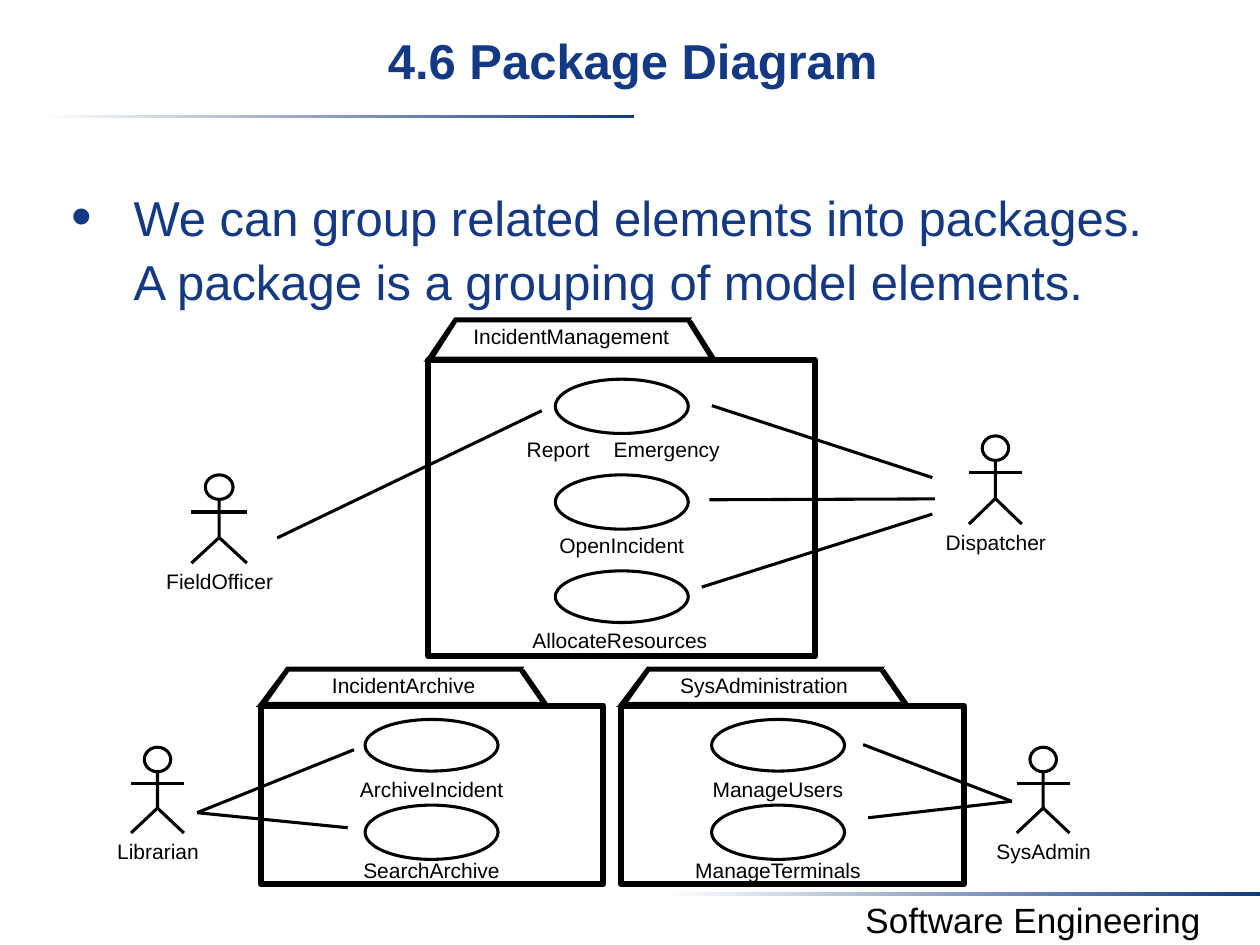
import pptx
import pptx.util
import pptx.dml.color
import pptx.enum.shapes
import pptx.enum.text
import pptx.oxml.ns
from lxml import etree

Pt = pptx.util.Pt
SHAPE = pptx.enum.shapes.MSO_SHAPE
ALIGN = pptx.enum.text.PP_ALIGN
COLORS = {"navy": "133984", "black": "000000", "white": "FFFFFF"}
THIN, THICK = 1.75, 3.5
TAB_WIDTH, TAB_SLOPE, TAB_BAR = 164, 14.8, 2.9

# Package: body box, tab height, centre of the use case column, and
# use cases as (top, height, label top, [(label, offset from the column)])
PACKAGES = [
    ("IncidentManagement", (244.8, 205.9, 221, 169.2), 24.5, 355.3, [
        (216.7, 31, 251.3, [("Report", -36.3), ("Emergency", 25.7)]),
        (271.4, 31, 306, [("OpenIncident", 0)]),
        (326.2, 29.5, 360, [("AllocateResources", -1)])]),
    ("IncidentArchive", (149, 403.2, 195.8, 102.2), 22.3, 246.6, [
        (411.1, 29.5, 445.3, [("ArchiveIncident", 0)]),
        (460.1, 31, 491.8, [("SearchArchive", 0)])]),
    ("SysAdministration", (355, 403.2, 195.8, 102.2), 22.3, 444.6, [
        (411.1, 29.5, 445.3, [("ManageUsers", 0)]),
        (460.1, 31, 491.8, [("ManageTerminals", 0)])]),
]

# Actor: figure box, and associations as (start, end)
ACTORS = [
    ("FieldOfficer", (109.4, 271.4, 31.7, 50.4), [((158.4, 307.4), (309.6, 234.7))]),
    ("Dispatcher", (553.7, 249.1, 30.2, 50.4), [
        ((532.8, 272.9), (406.8, 231.8)),
        ((534.2, 285.1), (405.4, 285.6)),
        ((532.8, 293.8), (401, 335.5))]),
    ("Librarian", (74.9, 427, 30.2, 49), [
        ((112.6, 464.4), (202.3, 428.4)),
        ((112.6, 464.4), (198.7, 473))]),
    ("SysAdmin", (581, 427, 30.2, 49), [
        ((578.2, 457.9), (493.2, 425.5)),
        ((578.2, 457.9), (496.1, 467.3))]),
]


def rgb(name):
    return pptx.dml.color.RGBColor.from_string(COLORS[name])


def apply(target, values):
    for key, value in values.items():
        setattr(target, key, value)


def write(frame, text, size, color, bold=False, align=ALIGN.CENTER, spacing=1.0):
    paragraph = frame.paragraphs[0]
    paragraph.text = text
    apply(paragraph, {"alignment": align, "line_spacing": spacing, "space_before": Pt(0)})
    font = paragraph.runs[0].font
    apply(font, {"name": "Arial", "size": Pt(size), "bold": bold})
    font.color.rgb = rgb(color)


def paint(shape, fill=None, width=None):
    shape.shadow.inherit = False
    if fill:
        shape.fill.solid()
        shape.fill.fore_color.rgb = rgb(fill)
    else:
        shape.fill.background()
    if width:
        shape.line.color.rgb = rgb("black")
        shape.line.width = Pt(width)
    else:
        shape.line.fill.background()


def add_outlined(slide, kind, box, width, fill=None):
    paint(slide.shapes.add_shape(kind, *map(Pt, box)), fill, width)


def add_path(slide, points, close, fill=None, width=None):
    builder = slide.shapes.build_freeform(*map(Pt, points[0]), scale=1.0)
    builder.add_line_segments([tuple(map(Pt, p)) for p in points[1:]], close=close)
    paint(builder.convert_to_shape(), fill, width)


def add_line(slide, start, end):
    line = slide.shapes.add_connector(
        pptx.enum.shapes.MSO_CONNECTOR.STRAIGHT, *map(Pt, start + end))
    line.line.color.rgb = rgb("black")
    line.line.width = Pt(THIN)
    etree.SubElement(line._element.spPr, pptx.oxml.ns.qn("a:effectLst"))


def add_label(slide, text, center, top):
    width = 7.5 * len(text)
    frame = slide.shapes.add_textbox(
        Pt(center - width / 2), Pt(top), Pt(width), Pt(13)).text_frame
    apply(frame, {"margin_left": 0, "margin_right": 0, "margin_top": 0,
                  "margin_bottom": 0, "word_wrap": False})
    write(frame, text, 12, "black", spacing=0.9)


def add_rule(slide, box):
    rule = slide.shapes.add_shape(SHAPE.RECTANGLE, *map(Pt, box))
    paint(rule)
    rule.fill.gradient()
    rule.fill.gradient_angle = 0
    for stop, color in zip(rule.fill.gradient_stops, ("white", "navy")):
        stop.color.rgb = rgb(color)


def add_title(slide, box):
    title = slide.shapes.title
    apply(title, dict(zip(("left", "top", "width", "height"), map(Pt, box))))
    apply(title.text_frame, {
        "margin_top": Pt(4), "margin_bottom": Pt(3.6), "word_wrap": True,
        "auto_size": pptx.enum.text.MSO_AUTO_SIZE.NONE,
        "vertical_anchor": pptx.enum.text.MSO_ANCHOR.TOP})
    write(title.text_frame, "4.6 Package Diagram", 28, "navy", bold=True)


def add_statement(slide, box):
    frame = slide.shapes.add_textbox(*map(Pt, box)).text_frame
    frame.word_wrap = True
    properties = frame.paragraphs[0]._p.get_or_add_pPr()
    properties.set("marL", str(Pt(35.3)))
    properties.set("indent", str(-Pt(35.3)))
    for tag, name, value in (("a:buSzPct", "val", "120000"),
                             ("a:buFont", "typeface", "Arial"),
                             ("a:buChar", "char", "•")):
        etree.SubElement(properties, pptx.oxml.ns.qn(tag)).set(name, value)
    write(frame, "We can group related elements into packages. "
          "A package is a grouping of model elements.",
          28, "navy", align=ALIGN.LEFT, spacing=1.1)


def add_footer(slide, box):
    frame = slide.shapes.add_textbox(*map(Pt, box)).text_frame
    frame.word_wrap = True
    write(frame, "Software Engineering", 20, "black")


def add_tab(slide, name, box):
    left, top, width, height = box
    right, bottom = left + width, top + height
    inner_left, inner_right = left + TAB_SLOPE, right - TAB_SLOPE
    under, edge = top + TAB_BAR, bottom + 0.8
    bars = [
        [(left - 1.4, bottom - 0.7), (left + 2, edge),
         (inner_left + 1.4, under), (inner_left, top)],
        [(inner_left, top), (inner_left, under),
         (inner_right, under), (inner_right + 1.4, top)],
        [(inner_right + 1.4, top + 1.4), (inner_right - 1.4, under),
         (right - 2.2, edge), (right + 1.6, edge)],
        [(left - 2.9, edge), (left + 0.7, edge - TAB_BAR),
         (right - 1.3, edge - TAB_BAR), (right - 1.3, edge)],
    ]
    for bar in bars:
        add_path(slide, bar, close=True, fill="black")
    add_label(slide, name, left + width / 2 - 0.3, top + 5.2)


def add_package(slide, name, box, tab_height, column, use_cases):
    left, top = box[:2]
    add_outlined(slide, SHAPE.RECTANGLE, box, THICK)
    add_tab(slide, name, (left, top - tab_height, TAB_WIDTH, tab_height))
    for case_top, height, label_top, labels in use_cases:
        add_outlined(slide, SHAPE.OVAL, (column - 38, case_top, 76, height), THIN)
        for text, offset in labels:
            add_label(slide, text, column + offset, label_top)


def add_actor(slide, name, box, associations):
    left, top, width, height = box
    center, right, feet = left + width / 2, left + width, top + height
    hips, arms = top + 0.71 * height, top + 0.42 * height
    add_path(slide, [(center, top + 10), (center, hips), (left, feet)],
             close=False, width=THIN)
    add_line(slide, (center, hips), (right, feet))
    add_line(slide, (left, arms), (right, arms))
    add_outlined(slide, SHAPE.OVAL, (center - width / 4, top, width / 2, 14), THIN, "white")
    add_label(slide, name, center + 0.3, feet + 4.7)
    for start, end in associations:
        add_line(slide, start, end)


def main():
    deck = pptx.Presentation()
    apply(deck, {"slide_width": Pt(720), "slide_height": Pt(540)})
    slide = deck.slides.add_slide(deck.slide_layouts[5])

    # Frame of the slide
    add_rule(slide, (22.3, 65.5, 340, 2.2))
    add_rule(slide, (380, 509.8, 340, 2.2))
    add_footer(slide, (460.8, 509.8, 259.2, 31.5))
    add_title(slide, (1.5, 13.7, 720, 54))
    add_statement(slide, (34, 100, 648, 399))

    # Package diagram
    for package in PACKAGES:
        add_package(slide, *package)
    for actor in ACTORS:
        add_actor(slide, *actor)

    deck.save("out.pptx")


if __name__ == "__main__":
    main()
